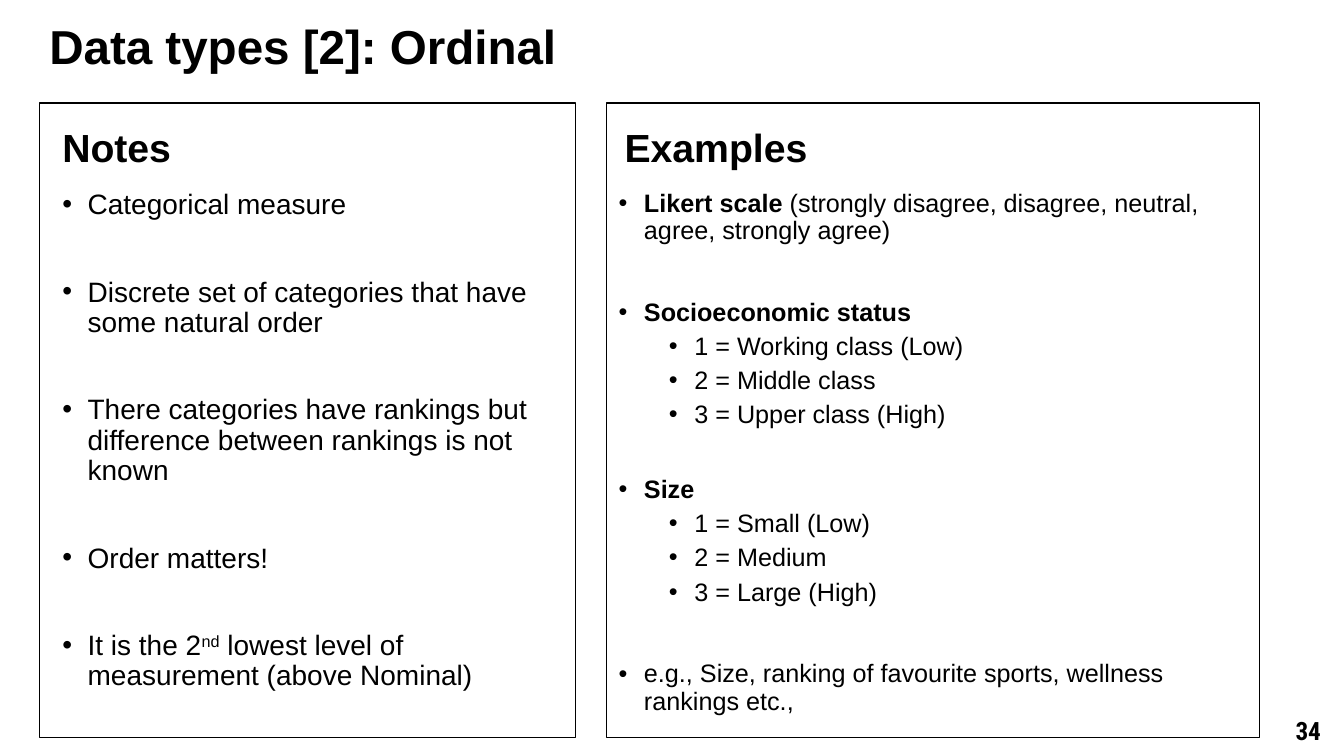
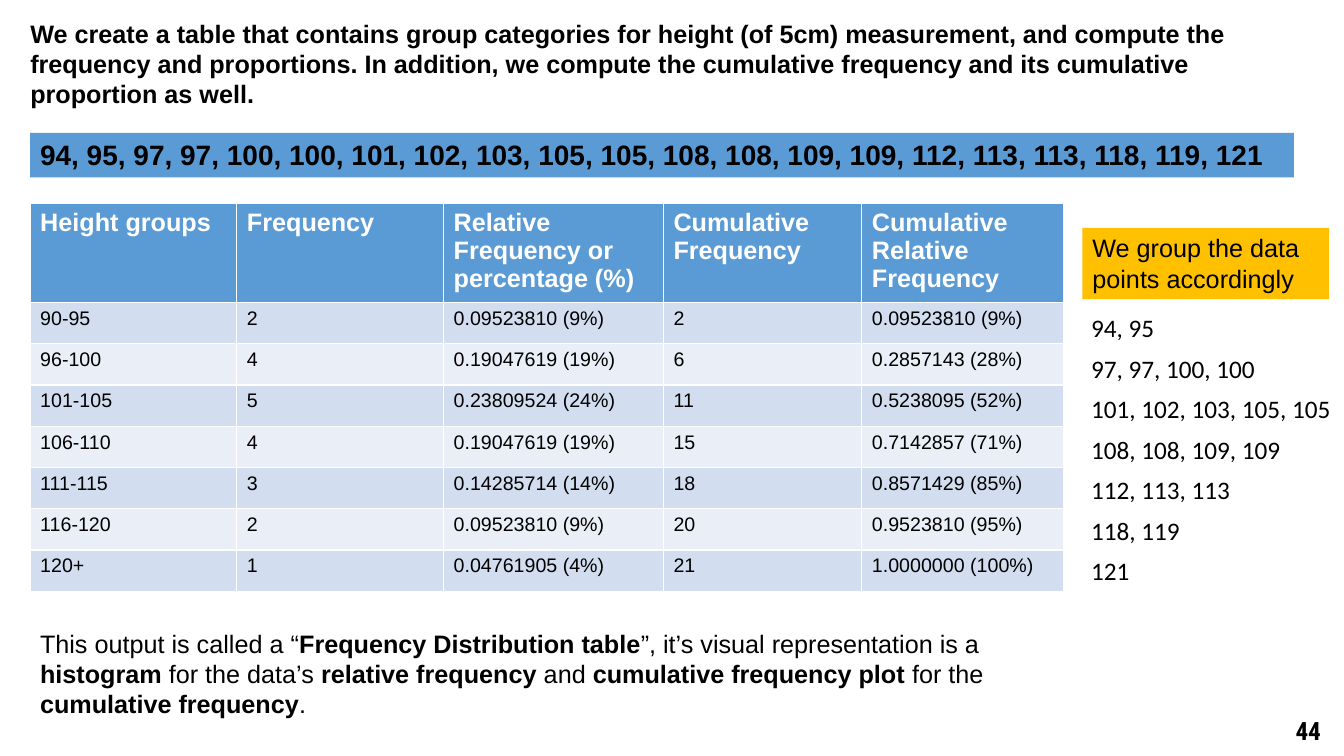
from lxml.etree import SubElement
from pptx import Presentation
from pptx.dml.color import RGBColor
from pptx.enum.shapes import MSO_SHAPE as Preset
from pptx.enum.text import MSO_ANCHOR as Anchor, MSO_AUTO_SIZE as AutoSize, PP_ALIGN as Align
from pptx.oxml.ns import qn
from pptx.util import Cm, Pt

BLACK = RGBColor(0x00, 0x00, 0x00)
WHITE = RGBColor(0xFF, 0xFF, 0xFF)
BLUE = RGBColor(0x5B, 0x9B, 0xD5)
AMBER = RGBColor(0xFF, 0xC0, 0x00)
ROW_FILLS = [RGBColor(0xD2, 0xDE, 0xEF), RGBColor(0xEA, 0xEF, 0xF7)]

BULLET_STEP = Cm(0.64)
LEVEL_STEP = Cm(1.27)


def write(frame, paras, size, font="Arial", color=BLACK, bold=False, wrap=True,
          anchor=Anchor.TOP, align=Align.LEFT, spacing=1.0, bullets=False):
    frame_format = {"word_wrap": wrap, "auto_size": AutoSize.NONE, "vertical_anchor": anchor}
    for name, value in frame_format.items():
        setattr(frame, name, value)
    for index, (text, level, before) in enumerate(paras):
        para = frame.add_paragraph() if index else frame.paragraphs[0]
        if bullets:
            properties = para._p.get_or_add_pPr()
            properties.set("marL", str(BULLET_STEP + level * LEVEL_STEP))
            properties.set("indent", str(-BULLET_STEP))
            SubElement(properties, qn("a:buFont")).set("typeface", "Arial")
            SubElement(properties, qn("a:buChar")).set("char", "•")
        para_format = {"level": level, "alignment": align, "line_spacing": spacing,
                       "space_before": Pt(before)}
        for name, value in para_format.items():
            setattr(para, name, value)
        for part_index, part in enumerate(text.split("*")):
            for piece_index, piece in enumerate(part.split("^")):
                if not piece:
                    continue
                span = para.add_run()
                span.text = piece
                font_format = {"name": font, "size": Pt(size), "bold": bold or part_index % 2 == 1}
                for name, value in font_format.items():
                    setattr(span.font, name, value)
                span.font.color.rgb = color
                if piece_index % 2:
                    span._r.get_or_add_rPr().set("baseline", "30000")


def add_box(page, place, fill=None, line=None):
    box = page.shapes.add_shape(Preset.RECTANGLE, *map(Cm, place))
    box.shadow.inherit = False
    if fill is None:
        box.fill.background()
    else:
        box.fill.solid()
        box.fill.fore_color.rgb = fill
    if line is None:
        box.line.fill.background()
    else:
        box.line.color.rgb = line
        box.line.width = Pt(1)
    return box


deck = Presentation()
deck.slide_width = Cm(33.87)
deck.slide_height = Cm(19.05)

TITLES = [
    ("Data types [2]: Ordinal", (0.99, 0.46, 30.76, 1.45), 34, 0.9, "34"),
    ("We create a table that contains group categories for height (of 5cm) measurement, "
     "and compute the frequency and proportions. In addition, we compute the cumulative "
     "frequency and its cumulative proportion as well.",
     (0.51, 0.33, 32.94, 2.57), 18, 1.0, "44"),
]
pages = []
for text, place, size, spacing, number in TITLES:
    page = deck.slides.add_slide(deck.slide_layouts[5])
    title = page.shapes.title
    for name, value in zip(("left", "top", "width", "height"), place):
        setattr(title, name, Cm(value))
    write(title.text_frame, [(text, 0, 0)], size, bold=True, spacing=spacing)
    box = page.shapes.add_textbox(Cm(32.36), Cm(17.81), Cm(1.22), Cm(1.17))
    box.text_frame.margin_left = box.text_frame.margin_right = 0
    write(box.text_frame, [(number, 0, 0)], 18, font="Roboto Condensed", bold=True,
          anchor=Anchor.MIDDLE, align=Align.CENTER)
    pages.append(page)
ordinal_page, frequency_page = pages

NOTES = [
    ("Categorical measure", 0, 0),
    ("Discrete set of categories that have some natural order", 0, 41),
    ("There categories have rankings but difference between rankings is not known", 0, 41),
    ("Order matters!", 0, 41),
    ("It is the 2^nd^ lowest level of measurement (above Nominal)", 0, 41),
]
EXAMPLES = [
    ("*Likert scale *(strongly disagree, disagree, neutral, agree, strongly agree)", 0, 0),
    ("*Socioeconomic status*", 0, 39),
    ("1 = Working class (Low)", 1, 5),
    ("2 = Middle class", 1, 5),
    ("3 = Upper class (High)", 1, 5),
    ("*Size*", 0, 34),
    ("1 = Small (Low)", 1, 5),
    ("2 = Medium", 1, 5),
    ("3 = Large (High)", 1, 5),
    ("e.g., Size, ranking of favourite sports, wellness rankings etc.,", 0, 39),
]
PANELS = [
    ("Notes", NOTES, 20, 0.99, 13.51, 1.32, 1.32, 13.59),
    ("Examples", EXAMPLES, 18, 15.29, 16.46, 15.49, 15.34, 15.98),
]
for heading, paras, size, left, width, heading_left, body_left, body_width in PANELS:
    add_box(ordinal_page, (left, 2.6, width, 15.98), line=BLACK)
    box = ordinal_page.shapes.add_textbox(Cm(heading_left), Cm(3.12), Cm(12.17), Cm(1.78))
    write(box.text_frame, [(heading, 0, 0)], 28, bold=True, spacing=0.9)
    box = ordinal_page.shapes.add_textbox(Cm(body_left), Cm(4.67), Cm(body_width), Cm(12.5))
    write(box.text_frame, paras, size, spacing=0.9, bullets=True)

heights_band = add_box(frequency_page, (0.76, 3.35, 31.85, 1.12), fill=BLUE)
write(heights_band.text_frame, [(
    "94, 95, 97, 97, 100, 100, 101, 102, 103, 105, 105, 108, 108, 109, 109, "
    "112, 113, 113, 118, 119, 121", 0, 0)], 20, bold=True)

ROWS = [
    ("Height groups", "Frequency", "Relative Frequency or percentage (%)",
     "Cumulative Frequency", "Cumulative Relative Frequency"),
    ("90-95", "2", "0.09523810 (9%)", "2", "0.09523810 (9%)"),
    ("96-100", "4", "0.19047619 (19%)", "6", "0.2857143 (28%)"),
    ("101-105", "5", "0.23809524 (24%)", "11", "0.5238095 (52%)"),
    ("106-110", "4", "0.19047619 (19%)", "15", "0.7142857 (71%)"),
    ("111-115", "3", "0.14285714 (14%)", "18", "0.8571429 (85%)"),
    ("116-120", "2", "0.09523810 (9%)", "20", "0.9523810 (95%)"),
    ("120+", "1", "0.04761905 (4%)", "21", "1.0000000 (100%)"),
]
COLUMN_WIDTHS = [5.21, 5.21, 5.54, 5, 5.08]
HEADER_HEIGHT, ROW_HEIGHT = 2.49, 1.04
table = frequency_page.shapes.add_table(
    len(ROWS), len(COLUMN_WIDTHS), Cm(0.76), Cm(5.13), Cm(sum(COLUMN_WIDTHS)),
    Cm(HEADER_HEIGHT + ROW_HEIGHT * (len(ROWS) - 1))).table
for column, width in zip(table.columns, COLUMN_WIDTHS):
    column.width = Cm(width)
for row_index, values in enumerate(ROWS):
    header = row_index == 0
    table.rows[row_index].height = Cm(HEADER_HEIGHT if header else ROW_HEIGHT)
    for column_index, value in enumerate(values):
        cell = table.cell(row_index, column_index)
        cell.fill.solid()
        cell.fill.fore_color.rgb = BLUE if header else ROW_FILLS[(row_index - 1) % 2]
        write(cell.text_frame, [(value, 0, 0)], 18 if header else 14,
              color=WHITE if header else BLACK, bold=header)

callout = add_box(frequency_page, (27.28, 5.74, 6.22, 1.8), fill=AMBER)
write(callout.text_frame, [("We group the data points accordingly", 0, 0)], 18)

GROUPS = ["94, 95", "97, 97, 100, 100", "101, 102, 103, 105, 105", "108, 108, 109, 109",
          "112, 113, 113", "118, 119", "121"]
for index, group in enumerate(GROUPS):
    box = frequency_page.shapes.add_textbox(
        Cm(27.25), Cm(7.75 + 1.02 * index), Cm(6.62), Cm(1.02))
    write(box.text_frame, [(group, 0, 0)], 18, font="Calibri", wrap=False)

summary = frequency_page.shapes.add_textbox(Cm(0.76), Cm(15.7), Cm(26.06), Cm(2.57))
write(summary.text_frame, [(
    "This output is called a “*Frequency Distribution table*”, it’s visual representation is a "
    "*histogram* for the data’s *relative frequency *and *cumulative frequency plot* for the "
    "*cumulative frequency*.", 0, 0)], 18)

deck.save("out.pptx")
